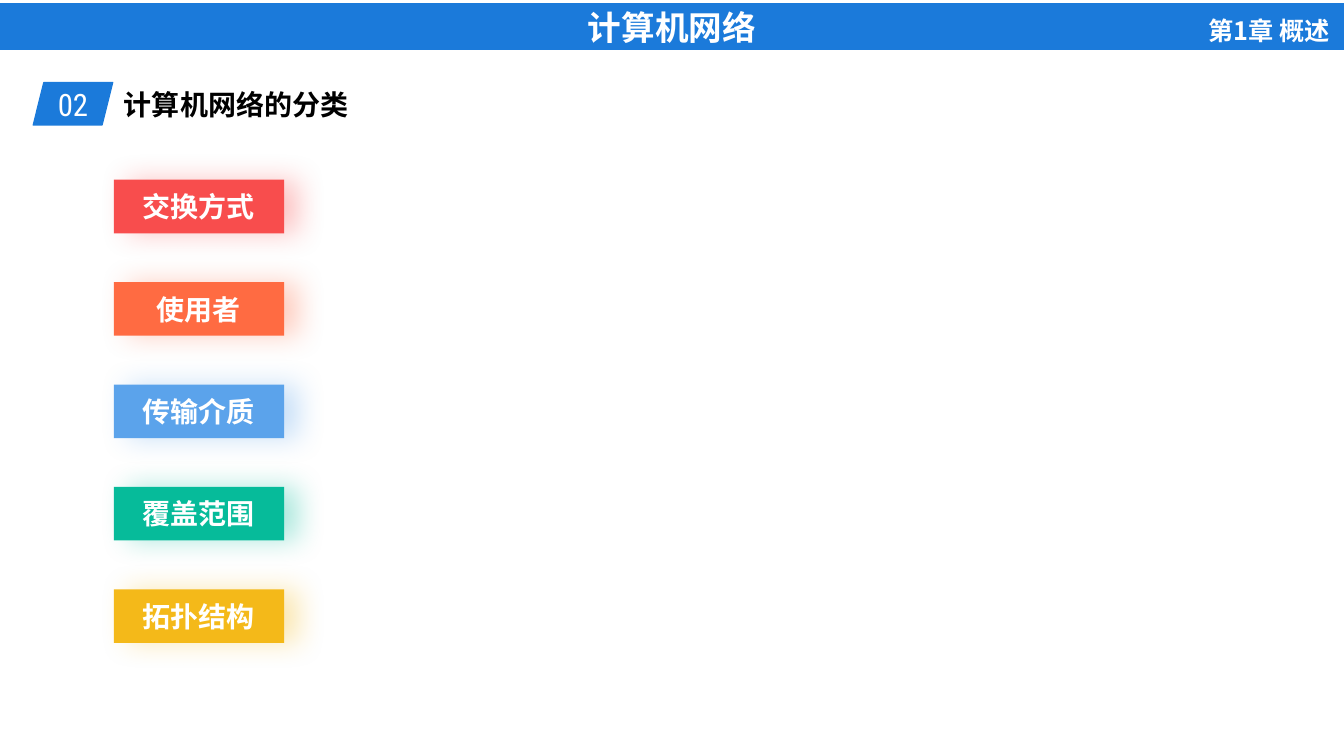
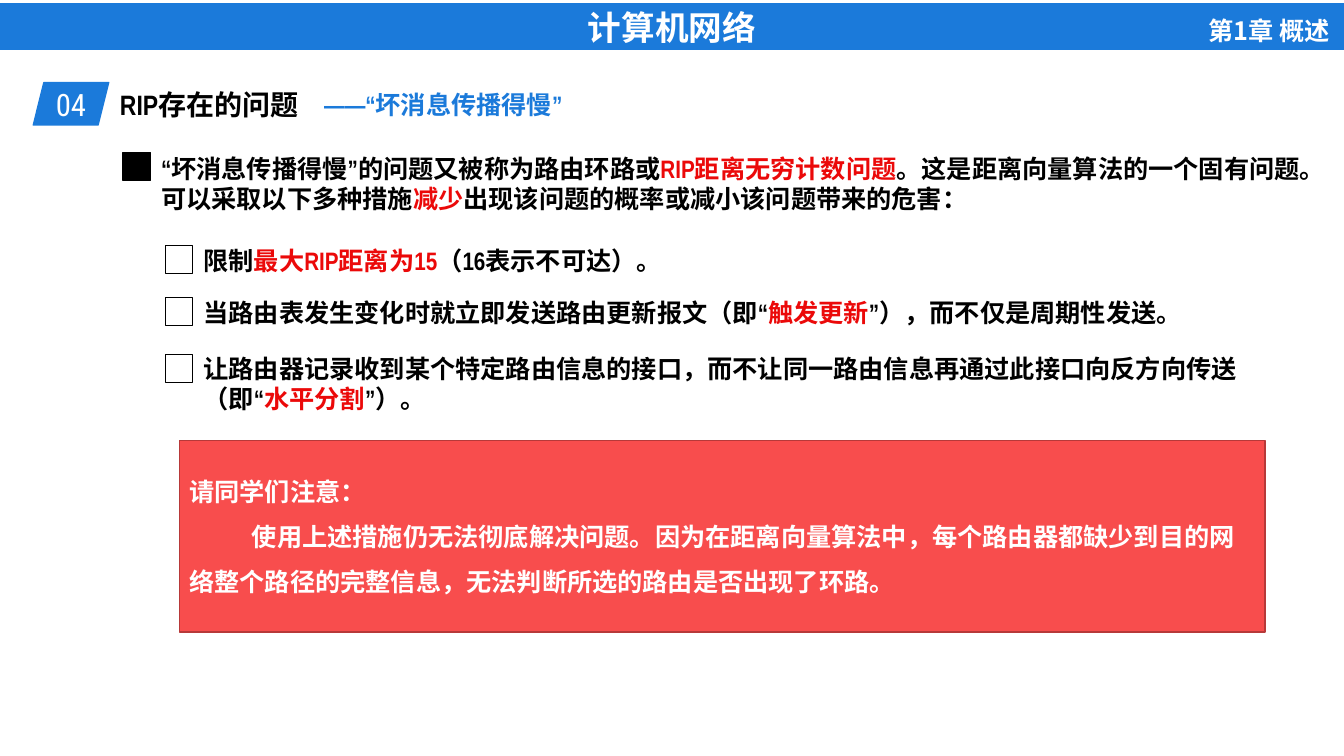
from lxml.etree import SubElement
from pptx import Presentation
from pptx.dml.color import RGBColor
from pptx.enum.shapes import MSO_SHAPE as SHAPE
from pptx.enum.text import MSO_ANCHOR as ANCHOR, MSO_AUTO_SIZE as AUTO, PP_ALIGN as ALIGN
from pptx.oxml.ns import qn
from pptx.util import Cm, Pt

# Shared style
BLUE, CORAL, RED, BLACK, WHITE = "1B7ADA", "F84D4D", "EB0909", "000000", "FFFFFF"
BODY_FONT, CHAPTER_FONT, NUMBER_FONT = "Arial Narrow", "Noto Sans CJK SC", "Roboto Condensed"
SLIDE_W, SLIDE_H = 33.87, 19.05
HEADING_TOP = 2.08


def rgb(value):
    return RGBColor.from_string(value)


def style(p, size, color, name=BODY_FONT, bold=True, align=ALIGN.LEFT):
    """Format a whole paragraph, Latin and East Asian text alike."""
    p.alignment = align
    font = p.font
    font.size, font.bold, font.name = Pt(size), bold, name
    font.color.rgb = rgb(color)
    SubElement(font._element, qn("a:ea"), typeface=name)


def place(sp, x, y, w, h):
    sp.left, sp.top, sp.width, sp.height = Cm(x), Cm(y), Cm(w), Cm(h)


def add_block(s, kind, x, y, w, h, fill=None, line=None):
    """Add a preset shape without the default shadow."""
    sp = s.shapes.add_shape(kind, Cm(x), Cm(y), Cm(w), Cm(h))
    sp.shadow.inherit = False
    if fill:
        sp.fill.solid()
        sp.fill.fore_color.rgb = rgb(fill)
    else:
        sp.fill.background()
    if line:
        sp.line.color.rgb = rgb(line)
        sp.line.width = Pt(1)
    else:
        sp.line.fill.background()
    return sp


def add_caption(sp, text, size, name=BODY_FONT, bold=True):
    """Put one centred white line into a shape."""
    tf = sp.text_frame
    tf.word_wrap = False
    tf.vertical_anchor = ANCHOR.MIDDLE
    p = tf.paragraphs[0]
    p.text = text
    style(p, size, WHITE, name, bold, ALIGN.CENTER)


def add_text(s, x, y, w, h, parts, color=BLACK, anchor=ANCHOR.TOP, **fmt):
    """Add a text box; every second part is emphasised in red."""
    sp = s.shapes.add_textbox(Cm(x), Cm(y), Cm(w), Cm(h))
    tf = sp.text_frame
    tf.word_wrap = True
    tf.vertical_anchor = anchor
    p = tf.paragraphs[0]
    for i, part in enumerate(parts):
        r = p.add_run()
        r.text = part
        if i % 2:
            r.font.color.rgb = rgb(RED)
    style(p, 18, color, **fmt)
    return sp


def add_glow(sp, color):
    """Cast a soft shadow of the given colour to the right."""
    effects = sp._element.spPr.find(qn("a:effectLst"))
    shadow = SubElement(effects, qn("a:outerShdw"), blurRad=str(Pt(20)), dist=str(Pt(10)),
                        dir="0", algn="ctr", rotWithShape="0")
    clr = SubElement(shadow, qn("a:srgbClr"), val=color)
    SubElement(clr, qn("a:alpha"), val="32000")


def add_band(s):
    """Draw the course band and move it to the layout all slides share."""
    band = add_block(s, SHAPE.RECTANGLE, 0, 0.1, SLIDE_W, 1.14, BLUE, BLUE)
    add_caption(band, "计算机网络", 24)
    chapter = add_text(s, 28.22, 0.25, 5.54, 1.02, ["第1章 概述"], WHITE,
                       name=CHAPTER_FONT, align=ALIGN.RIGHT)
    for shape_id, sp in enumerate((band, chapter), 20):
        sp._element.nvSpPr.cNvPr.set("id", str(shape_id))
        s.slide_layout.shapes._spTree.append(sp._element)


def add_heading(s, number, title, tag_w):
    """Number tag followed by the slide title."""
    tag = add_block(s, SHAPE.PARALLELOGRAM, 0.84, HEADING_TOP, tag_w, 1.07, BLUE, BLUE)
    add_caption(tag, number, 22, NUMBER_FONT, False)
    sp = s.shapes.title
    place(sp, 0.87 + tag_w, HEADING_TOP, 14, 1.12)
    tf = sp.text_frame
    tf.text = title
    tf.auto_size = AUTO.NONE
    tf.vertical_anchor = ANCHOR.TOP
    style(tf.paragraphs[0], 20, BLACK)


def add_point(s, x, y, h, parts, marker_fill=None):
    """Paragraph with a square marker on its left."""
    add_text(s, x, y, 33.02 - x, h, parts, anchor=ANCHOR.MIDDLE)
    add_block(s, SHAPE.RECTANGLE, x - 0.71, y + 0.11, 0.69, 0.71, marker_fill, BLACK)


def add_notice(s, lead, body):
    """Red box with a lead line and an indented paragraph."""
    sp = add_block(s, SHAPE.RECTANGLE, 4.52, 11.1, 27.36, 4.83, CORAL, "B73939")
    tf = sp.text_frame
    tf.word_wrap = True
    tf.vertical_anchor = ANCHOR.MIDDLE
    tf.text = f"{lead}\n{body}"
    for p in tf.paragraphs:
        style(p, 18, WHITE)
    p = tf.paragraphs[1]
    p.line_spacing = 1.5
    p._p.get_or_add_pPr().set("indent", str(Cm(1.58)))


def build_categories(s):
    add_heading(s, "02", "计算机网络的分类", 2)
    labels = [("交换方式", CORAL), ("使用者", "FF6B42"), ("传输介质", "5BA3EB"),
              ("覆盖范围", "06BB9A"), ("拓扑结构", "F4B919")]
    for i, (text, color) in enumerate(labels):
        sp = add_block(s, SHAPE.RECTANGLE, 2.87, 4.53 + 2.58 * i, 4.29, 1.35, color)
        add_caption(sp, text, 20)
        add_glow(sp, color)


def build_rip_problem(s):
    add_heading(s, "04", "RIP存在的问题", 1.9)
    add_text(s, 7.92, 2.13, 8.41, 1.02, ["——“坏消息传播得慢”"], BLUE)
    add_point(s, 3.81, 3.73, 1.8, [
        "“坏消息传播得慢”的问题又被称为路由环路或", "RIP距离无穷计数问题",
        "。这是距离向量算法的一个固有问题。可以采取以下多种措施", "减少",
        "出现该问题的概率或减小该问题带来的危害："], BLACK)
    measures = [
        (6.07, 0.99, ["限制", "最大RIP距离为15", "（16表示不可达）。"]),
        (7.39, 0.99, ["当路由表发生变化时就立即发送路由更新报文（即“", "触发更新",
                      "”），而不仅是周期性发送。"]),
        (8.82, 1.7, ["让路由器记录收到某个特定路由信息的接口，而不让同一路由信息再通过此接口"
                     "向反方向传送（即“", "水平分割", "”）。"]),
    ]
    for y, h, parts in measures:
        add_point(s, 4.88, y, h, parts)
    add_notice(s, "请同学们注意：",
               "使用上述措施仍无法彻底解决问题。因为在距离向量算法中，每个路由器都缺少到"
               "目的网络整个路径的完整信息，无法判断所选的路由是否出现了环路。")


def main():
    prs = Presentation()
    prs.slide_width, prs.slide_height = Cm(SLIDE_W), Cm(SLIDE_H)
    title_only = prs.slide_layouts[5]
    slides = [prs.slides.add_slide(title_only) for _ in range(2)]
    add_band(slides[0])
    for build, s in zip((build_categories, build_rip_problem), slides):
        build(s)
    prs.save("out.pptx")


if __name__ == "__main__":
    main()
